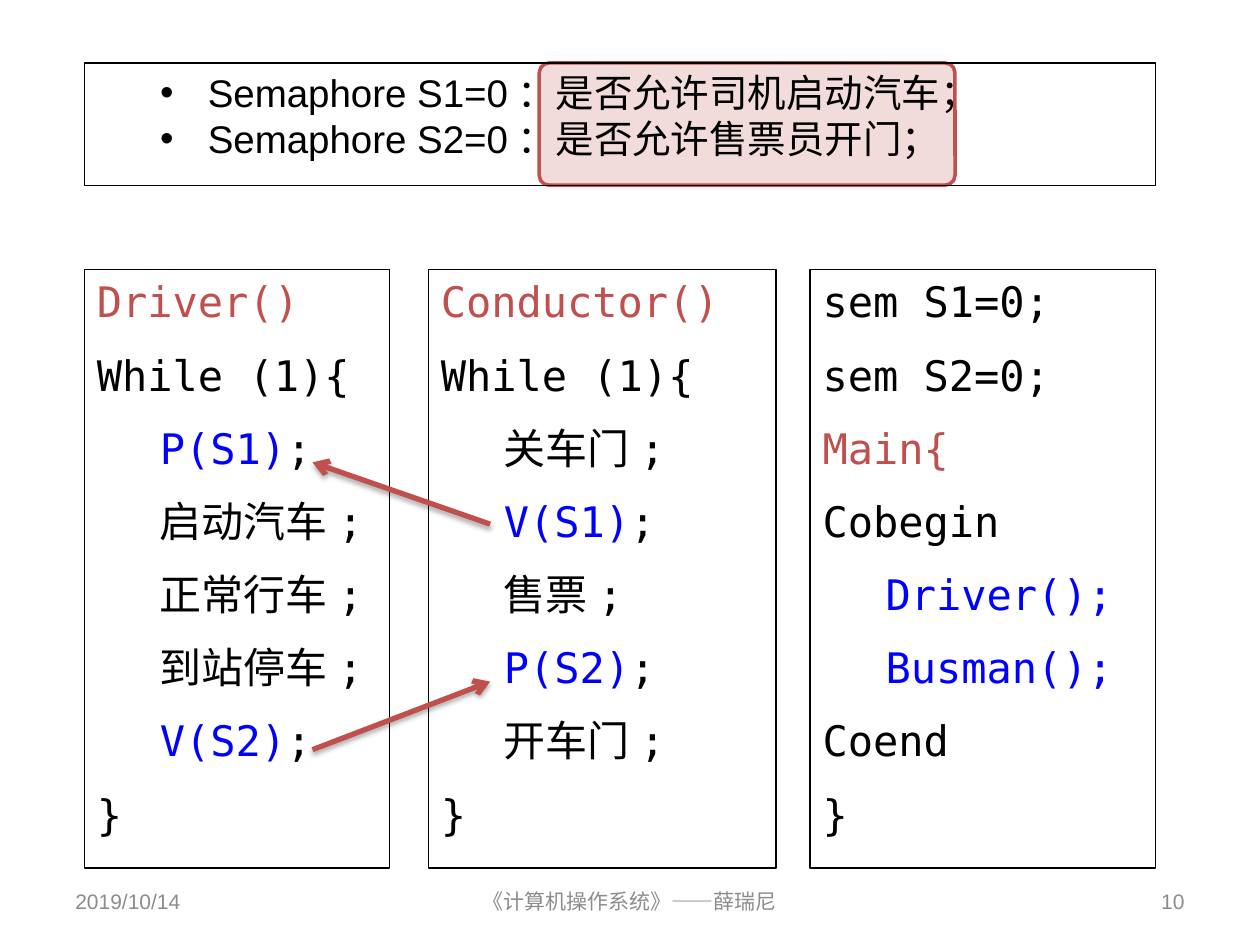
from lxml.etree import SubElement
from pptx import Presentation
from pptx.dml.color import RGBColor
from pptx.enum.shapes import MSO_CONNECTOR, MSO_SHAPE
from pptx.enum.text import MSO_ANCHOR, MSO_AUTO_SIZE, PP_ALIGN
from pptx.oxml import parse_xml
from pptx.oxml.ns import nsdecls, qn
from pptx.util import Inches, Pt

BLACK, RED, BLUE, PINK, GRAY = "000000", "C0504D", "0000FF", "F2DCDB", "8C8C8C"
CODE_FONT = "DejaVu Sans Mono"

# Each code line is (indented, [(text, colour), ...]).
DRIVER = [
    (False, [("Driver()", RED)]),
    (False, [("While (1){", BLACK)]),
    (True, [("P(S1)", BLUE), (";", BLACK)]),
    (True, [("启动汽车;", BLACK)]),
    (True, [("正常行车;", BLACK)]),
    (True, [("到站停车;", BLACK)]),
    (True, [("V(S2)", BLUE), (";", BLACK)]),
    (False, [("}", BLACK)]),
]
CONDUCTOR = [
    (False, [("Conductor()", RED)]),
    (False, [("While (1){", BLACK)]),
    (True, [("关车门;", BLACK)]),
    (True, [("V(S1)", BLUE), (";", BLACK)]),
    (True, [("售票;", BLACK)]),
    (True, [("P(S2)", BLUE), (";", BLACK)]),
    (True, [("开车门;", BLACK)]),
    (False, [("}", BLACK)]),
]
MAIN_PROGRAM = [
    (False, [("sem S1=0;", BLACK)]),
    (False, [("sem S2=0;", BLACK)]),
    (False, [("Main{", RED)]),
    (False, [("Cobegin", BLACK)]),
    (True, [("Driver();", BLUE)]),
    (True, [("Busman();", BLUE)]),
    (False, [("Coend", BLACK)]),
    (False, [("}", BLACK)]),
]


def color(value):
    return RGBColor.from_string(value)


def set_line(shape, value, width):
    shape.line.color.rgb = color(value)
    shape.line.width = Pt(width)


def set_indent(paragraph, left, first=0):
    properties = paragraph._p.get_or_add_pPr()
    properties.set("marL", str(Inches(left)))
    properties.set("indent", str(Inches(first)))
    return properties


def add_run(paragraph, text, size, font, value):
    run = paragraph.add_run()
    run.text = text
    run.font.size = Pt(size)
    run.font.name = font
    run.font.color.rgb = color(value)


def paragraphs_for(frame, items):
    """Yield (paragraph, item), using the frame's first paragraph first."""
    for index, item in enumerate(items):
        yield (frame.add_paragraph() if index else frame.paragraphs[0]), item


def fill_semaphore_list(body, lines):
    body.left, body.top = Inches(0.67), Inches(0.5)
    body.width, body.height = Inches(8.5), Inches(0.97)
    set_line(body, BLACK, 0.75)
    frame = body.text_frame
    frame.auto_size = MSO_AUTO_SIZE.NONE
    frame.vertical_anchor = MSO_ANCHOR.TOP
    for paragraph, text in paragraphs_for(frame, lines):
        paragraph.level = 1
        properties = set_indent(paragraph, 0.88, -0.38)
        SubElement(properties, qn("a:buFont"), typeface="Arial")
        SubElement(properties, qn("a:buChar"), char="•")
        paragraph.space_before = Pt(0)
        add_run(paragraph, text, 22, "Arial", BLACK)


def add_highlight_behind(slide, body):
    shape = slide.shapes.add_shape(
        MSO_SHAPE.ROUNDED_RECTANGLE, Inches(4.28), Inches(0.5), Inches(3.3), Inches(0.97))
    shape.adjustments[0] = 0.08
    shape.shadow.inherit = False
    shape.fill.solid()
    shape.fill.fore_color.rgb = color(PINK)
    set_line(shape, RED, 2)
    body.element.addprevious(shape.element)


def add_code_box(slide, left, width, lines):
    shape = slide.shapes.add_shape(
        MSO_SHAPE.RECTANGLE, Inches(left), Inches(2.14), Inches(width), Inches(4.75))
    shape.shadow.inherit = False
    shape.fill.background()
    set_line(shape, BLACK, 0.75)
    frame = shape.text_frame
    frame.word_wrap = True
    frame.vertical_anchor = MSO_ANCHOR.TOP
    for index, (paragraph, (indented, runs)) in enumerate(paragraphs_for(frame, lines)):
        paragraph.alignment = PP_ALIGN.LEFT
        set_indent(paragraph, 0.5 if indented else 0)
        paragraph.space_before = Pt(13 if index else 0)
        for text, value in runs:
            add_run(paragraph, text, 24, CODE_FONT, value)


def add_footer(slide, left, width, text, font, alignment):
    box = slide.shapes.add_textbox(Inches(left), Inches(6.95), Inches(width), Inches(0.4))
    frame = box.text_frame
    frame.word_wrap = True
    frame.vertical_anchor = MSO_ANCHOR.MIDDLE
    paragraph = frame.paragraphs[0]
    paragraph.alignment = alignment
    add_run(paragraph, text, 12, font, GRAY)


def add_signal_arrow(slide, start, end):
    """Draw a shadowed arrow from a V operation to the P it releases."""
    arrow = slide.shapes.add_connector(
        MSO_CONNECTOR.STRAIGHT, *(Inches(length) for length in start + end))
    set_line(arrow, RED, 3)
    SubElement(arrow.line._get_or_add_ln(), qn("a:tailEnd"), type="arrow")
    arrow.element.spPr.append(parse_xml(
        f'<a:effectLst {nsdecls("a")}>'
        f'<a:outerShdw blurRad="{Pt(3.1)}" dist="{Pt(1.8)}" dir="5400000" rotWithShape="0">'
        f'<a:srgbClr val="{BLACK}"><a:alpha val="35000"/></a:srgbClr>'
        '</a:outerShdw></a:effectLst>'))


def main():
    presentation = Presentation()
    presentation.slide_width, presentation.slide_height = Inches(10), Inches(7.5)
    slide = presentation.slides.add_slide(presentation.slide_layouts[1])
    title, body = slide.placeholders
    title.element.getparent().remove(title.element)

    fill_semaphore_list(body, [
        "Semaphore S1=0：是否允许司机启动汽车；",
        "Semaphore S2=0：是否允许售票员开门；",
    ])
    add_highlight_behind(slide, body)

    add_code_box(slide, 0.67, 2.42, DRIVER)
    add_code_box(slide, 3.4, 2.76, CONDUCTOR)
    add_code_box(slide, 6.43, 2.74, MAIN_PROGRAM)

    add_footer(slide, 0.5, 2.33, "2019/10/14", "Arial", PP_ALIGN.LEFT)
    add_footer(slide, 2.83, 4.33, "《计算机操作系统》——薛瑞尼", "Noto Sans Mono", PP_ALIGN.CENTER)
    add_footer(slide, 7.17, 2.33, "10", "Arial", PP_ALIGN.RIGHT)

    add_signal_arrow(slide, (2.48, 5.95), (3.89, 5.41))
    add_signal_arrow(slide, (3.89, 4.16), (2.48, 3.67))
    presentation.save("out.pptx")


if __name__ == "__main__":
    main()
